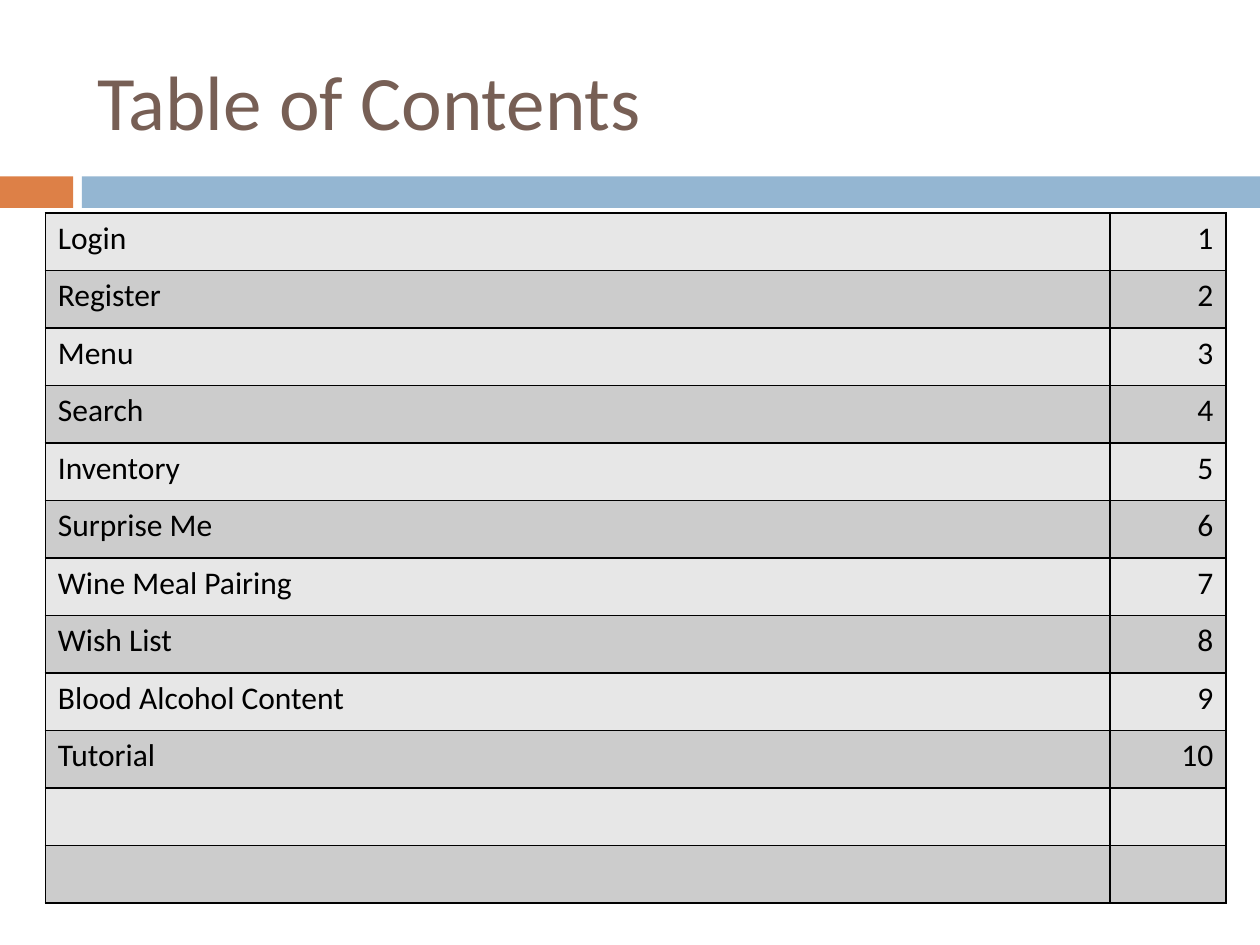
from typing import NamedTuple

from lxml.etree import SubElement
from pptx import Presentation
from pptx.dml.color import RGBColor
from pptx.enum.shapes import MSO_SHAPE as Preset
from pptx.enum.text import MSO_ANCHOR as Anchor, PP_ALIGN as Align
from pptx.oxml.ns import qn
from pptx.util import Inches, Pt

COLORS = {
    "title": "775F55",
    "orange": "DD8047",
    "blue": "94B6D2",
    "light_row": "E7E7E7",
    "dark_row": "CCCCCC",
    "black": "000000",
}
FONT = "Calibri"
SECTIONS = [
    "Login", "Register", "Menu", "Search", "Inventory", "Surprise Me",
    "Wine Meal Pairing", "Wish List", "Blood Alcohol Content", "Tutorial",
]
ROW_COUNT = 12
TABLE_HEIGHT = 5.48
COLUMN_WIDTHS = (8.45, 0.92)


class Band(NamedTuple):
    left: float
    width: float
    color: str


BANDS = [Band(0, 0.58, "orange"), Band(0.65, 9.35, "blue")]


def rgb(name: str) -> RGBColor:
    return RGBColor.from_string(COLORS[name])


def add_text(paragraph, text: str, size: float, color: str, align) -> None:
    paragraph.alignment = align
    run = paragraph.add_run()
    run.text = text
    run.font.name = FONT
    run.font.size = Pt(size)
    run.font.color.rgb = rgb(color)


def draw_band(slide, band: Band) -> None:
    bar = slide.shapes.add_shape(
        Preset.RECTANGLE, Inches(band.left), Inches(1.4), Inches(band.width), Inches(0.25))
    bar.shadow.inherit = False
    bar.fill.solid()
    bar.fill.fore_color.rgb = rgb(band.color)
    bar.line.fill.background()


def add_borders(cell) -> None:
    properties = cell._tc.get_or_add_tcPr()
    for side in ("a:lnL", "a:lnR", "a:lnT", "a:lnB"):
        border = SubElement(properties, qn(side), w=str(Pt(1)))
        fill = SubElement(border, qn("a:solidFill"))
        SubElement(fill, qn("a:srgbClr"), val=COLORS["black"])


def draw_contents(slide) -> None:
    contents = slide.shapes.add_table(
        ROW_COUNT, len(COLUMN_WIDTHS), Inches(0.36), Inches(1.69),
        Inches(sum(COLUMN_WIDTHS)), Inches(TABLE_HEIGHT)).table
    contents.first_row = False
    contents.horz_banding = False
    for column, width in zip(contents.columns, COLUMN_WIDTHS):
        column.width = Inches(width)

    for index, row in enumerate(contents.rows):
        row.height = Inches(TABLE_HEIGHT / ROW_COUNT)
        for cell in row.cells:
            add_borders(cell)
            cell.fill.solid()
            cell.fill.fore_color.rgb = rgb("dark_row" if index % 2 else "light_row")

    for index, section in enumerate(SECTIONS):
        entries = ((section, Align.LEFT), (str(index + 1), Align.RIGHT))
        for column, (text, align) in enumerate(entries):
            paragraph = contents.cell(index, column).text_frame.paragraphs[0]
            add_text(paragraph, text, 18, "black", align)


def main() -> None:
    deck = Presentation()
    deck.slide_width, deck.slide_height = Inches(10), Inches(7.5)
    slide = deck.slides.add_slide(deck.slide_layouts[5])

    # Bands under the heading
    for band in BANDS:
        draw_band(slide, band)

    # Heading
    heading = slide.shapes.title
    heading.left, heading.top = Inches(0.67), Inches(0.25)
    heading.width, heading.height = Inches(8.92), Inches(1.08)
    heading.text_frame.vertical_anchor = Anchor.MIDDLE
    add_text(heading.text_frame.paragraphs[0], "Table of Contents", 44, "title", Align.LEFT)

    # Sections and their numbers
    draw_contents(slide)

    deck.save("out.pptx")


if __name__ == "__main__":
    main()
